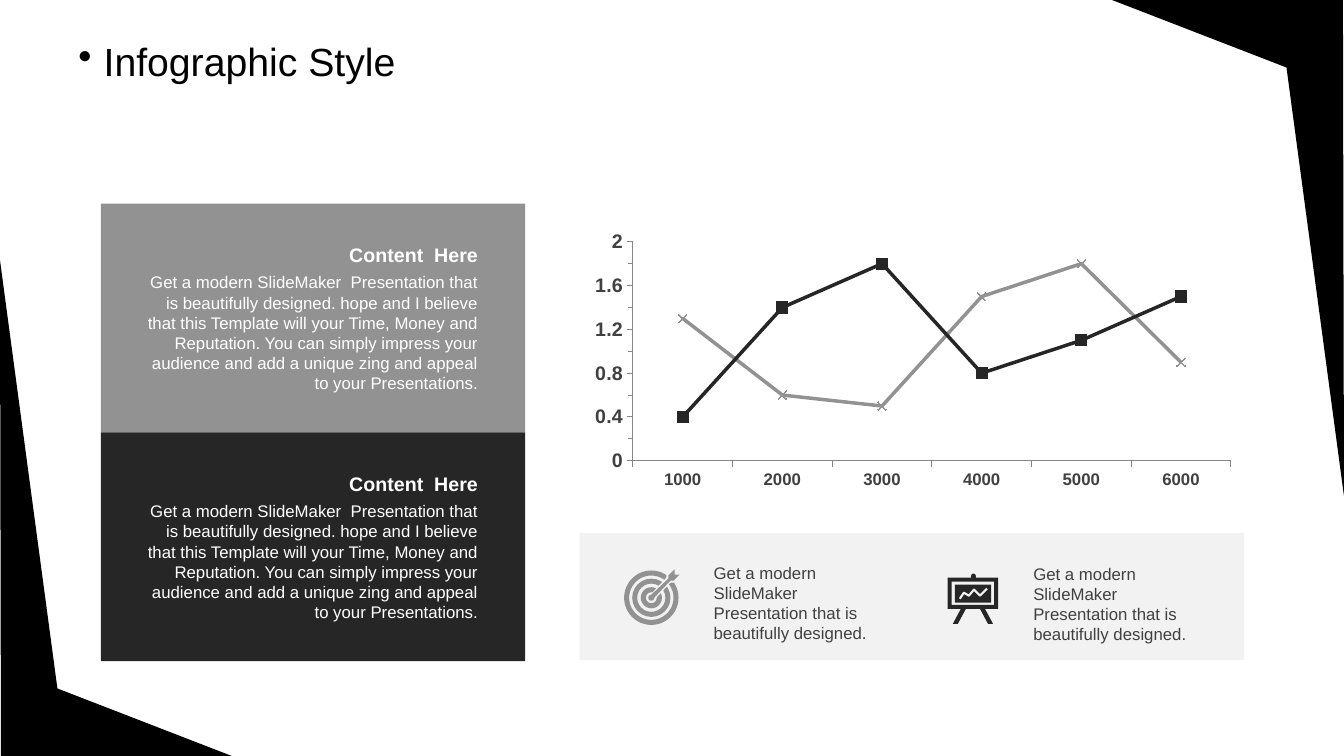
from lxml import etree
from pptx import Presentation
from pptx.chart.data import CategoryChartData
from pptx.dml.color import RGBColor
from pptx.enum.chart import XL_CHART_TYPE, XL_MARKER_STYLE, XL_TICK_MARK
from pptx.enum.shapes import MSO_SHAPE
from pptx.enum.text import MSO_ANCHOR, PP_ALIGN
from pptx.oxml import parse_xml
from pptx.oxml.ns import nsdecls, qn
from pptx.util import Pt

RECT, DONUT, OVAL, FRAME = MSO_SHAPE.RECTANGLE, MSO_SHAPE.DONUT, MSO_SHAPE.OVAL, MSO_SHAPE.FRAME
LEFT, RIGHT = PP_ALIGN.LEFT, PP_ALIGN.RIGHT
TOP, MIDDLE = MSO_ANCHOR.TOP, MSO_ANCHOR.MIDDLE
OUTSIDE = XL_TICK_MARK.OUTSIDE
CROSS, SQUARE = XL_MARKER_STYLE.X, XL_MARKER_STYLE.SQUARE

BLACK = RGBColor(0x00, 0x00, 0x00)
WHITE = RGBColor(0xFF, 0xFF, 0xFF)
DARK = RGBColor(0x26, 0x26, 0x26)
GRAY = RGBColor(0x92, 0x92, 0x92)
PALE = RGBColor(0xF2, 0xF2, 0xF2)
INK = RGBColor(0x40, 0x40, 0x40)
AXIS = RGBColor(0x86, 0x86, 0x86)

PX = 9144
SLIDE_W, SLIDE_H = 1333, 750
FONT = "Arial"

TITLE = "Infographic Style"
HEADING = "Content  Here"
BODY = ("Get a modern SlideMaker  Presentation that is beautifully designed. "
        "hope and I believe that this Template will your Time, Money and Reputation. "
        "You can simply impress your audience and add a unique zing and appeal "
        "to your Presentations.")
NOTE = "Get a modern SlideMaker  Presentation that is beautifully designed."
PANEL_COLORS = [GRAY, DARK]
NOTE_SPOTS = [(698, 553), (1015, 554)]
CATEGORIES = ["1000", "2000", "3000", "4000", "5000", "6000"]
SERIES = [
    ("Series 1", (1.3, 0.6, 0.5, 1.5, 1.8, 0.9), GRAY, CROSS, 6),
    ("Series 2", (0.4, 1.4, 1.8, 0.8, 1.1, 1.5), DARK, SQUARE, 8),
]
PLOT_AREA = {"x": 0.08, "y": 0.06, "w": 0.9, "h": 0.82}

CORNER = [(1, 750), (0, 258), (57, 683), (230, 750)]
PANEL_X, PANEL_Y, PANEL_W, PANEL_H = 100, 202, 421, 227
RIGHT_X, RIGHT_W = 575, 659

TARGET_X, TARGET_Y = 646, 593
RINGS = [(54, 5), (38, 5), (21, 5)]
DART_GAP = [(646, 589), (661, 573), (661, 565), (674, 565), (674, 578), (665, 578), (651, 593)]
DART = [(644, 592), (663, 574), (663, 571), (669, 565), (669, 570),
        (674, 570), (668, 576), (665, 576), (647, 595)]

EASEL_CENTER = 965
EASEL_LEG = [(953, 604), (958, 604), (950, 619), (945, 619)]
EASEL_TREND = [(952, 594), (956, 588), (961, 591), (966, 585), (972, 591), (979, 584)]

prs = Presentation()
prs.slide_width, prs.slide_height = SLIDE_W * PX, SLIDE_H * PX
slide = prs.slides.add_slide(prs.slide_layouts[6])
shapes = slide.shapes


def scaled(*lengths):
    return [int(length * PX) for length in lengths]


def paint(shape, color):
    shape.shadow.inherit = False
    shape.fill.solid()
    shape.fill.fore_color.rgb = color
    shape.line.fill.background()


def block(kind, x, y, w, h, color, border=None):
    shape = shapes.add_shape(kind, *scaled(x, y, w, h))
    if border:
        shape.adjustments[0] = border / min(w, h)
    paint(shape, color)


def outline(points, closed=True):
    builder = shapes.build_freeform(*points[0], scale=PX)
    builder.add_line_segments(points[1:], close=closed)
    return builder.convert_to_shape()


def write(x, y, w, h, text, size, color, align=LEFT, anchor=TOP, bold=False):
    frame = shapes.add_textbox(*scaled(x, y, w, h)).text_frame
    frame.word_wrap = True
    frame.vertical_anchor = anchor
    paragraph = frame.paragraphs[0]
    paragraph.alignment = align
    run = paragraph.add_run()
    run.text = text
    run.font.name, run.font.size, run.font.bold = FONT, Pt(size), bold
    run.font.color.rgb = color
    return paragraph


def style_axis(axis, size):
    axis.has_major_gridlines = False
    axis.major_tick_mark = OUTSIDE
    axis.format.line.color.rgb = AXIS
    font = axis.tick_labels.font
    font.name, font.size, font.bold = FONT, Pt(size), True
    font.color.rgb = INK


def add_line_chart():
    data = CategoryChartData()
    data.categories = CATEGORIES
    for name, values, *_ in SERIES:
        data.add_series(name, values)
    chart = shapes.add_chart(XL_CHART_TYPE.LINE_MARKERS, *scaled(RIGHT_X, 224, RIGHT_W, 265), data).chart
    chart.has_legend = chart.has_title = False
    chart.font.name, chart.font.size = FONT, Pt(18)
    chart.font.color.rgb = BLACK
    chart.plots[0].vary_by_categories = False
    style_axis(chart.category_axis, 12)
    values_axis = chart.value_axis
    style_axis(values_axis, 14)
    values_axis.minimum_scale, values_axis.maximum_scale = 0, 2
    values_axis.major_unit, values_axis.minor_unit = 0.4, 0.2
    values_axis.minor_tick_mark = OUTSIDE
    values_axis.tick_labels.number_format = "General"
    values_axis.tick_labels.number_format_is_linked = False
    for series, (_, _, color, marker, size) in zip(chart.plots[0].series, SERIES):
        series.smooth = False
        series.format.line.color.rgb = color
        series.format.line.width = Pt(2.5)
        series.marker.style, series.marker.size = marker, size
        series.marker.format.fill.solid()
        series.marker.format.fill.fore_color.rgb = color
        series.marker.format.line.color.rgb = color
    plot = chart.plots[0]._element.getparent()
    for old in plot.findall(qn("c:layout")):
        plot.remove(old)
    modes = '<c:layoutTarget val="inner"/><c:xMode val="edge"/><c:yMode val="edge"/>'
    sizes = "".join(f'<c:{key} val="{value}"/>' for key, value in PLOT_AREA.items())
    plot.insert(0, parse_xml(f'<c:layout {nsdecls("c")}><c:manualLayout>{modes}{sizes}'
                             '</c:manualLayout></c:layout>'))


def add_target():
    for diameter, border in RINGS:
        block(DONUT, TARGET_X - diameter / 2, TARGET_Y - diameter / 2, diameter, diameter, GRAY, border)
    paint(outline(DART_GAP), PALE)
    block(OVAL, TARGET_X - 3, TARGET_Y - 3, 6, 6, GRAY)
    paint(outline(DART), GRAY)


def add_easel():
    block(OVAL, EASEL_CENTER - 2, 569, 5, 6, DARK)
    block(FRAME, EASEL_CENTER - 25, 573, 50, 31, DARK, 4)
    block(RECT, EASEL_CENTER - 18, 580, 36, 18, DARK)
    for leg in (EASEL_LEG, [(2 * EASEL_CENTER - x, y) for x, y in EASEL_LEG]):
        paint(outline(leg), DARK)
    trend = outline(EASEL_TREND, closed=False)
    trend.shadow.inherit = False
    trend.fill.background()
    trend.line.color.rgb = PALE
    trend.line.width = Pt(1.5)


for corner in (CORNER, [(SLIDE_W - x, SLIDE_H - y) for x, y in CORNER]):
    paint(outline(corner), BLACK)

title = write(68, 37, 1265, 79, TITLE, 28, BLACK)
title.line_spacing = 0.9
title_props = title._p.get_or_add_pPr()
title_props.set("marL", "228600")
title_props.set("indent", "-228600")
etree.SubElement(title_props, qn("a:buChar")).set("char", "•")

add_line_chart()

for row, color in enumerate(PANEL_COLORS):
    top = PANEL_Y + row * PANEL_H
    block(RECT, PANEL_X, top, PANEL_W, PANEL_H, color)
    write(130, top + 34, 354, 34, HEADING, 14, WHITE, RIGHT, MIDDLE, True)
    write(130, top + 63, 354, 131, BODY, 12, WHITE, RIGHT)

block(RECT, RIGHT_X, 529, RIGHT_W, 126, PALE)
for x, y in NOTE_SPOTS:
    write(x, y, 192, 91, NOTE, 12, INK)
add_target()
add_easel()

prs.save("out.pptx")
